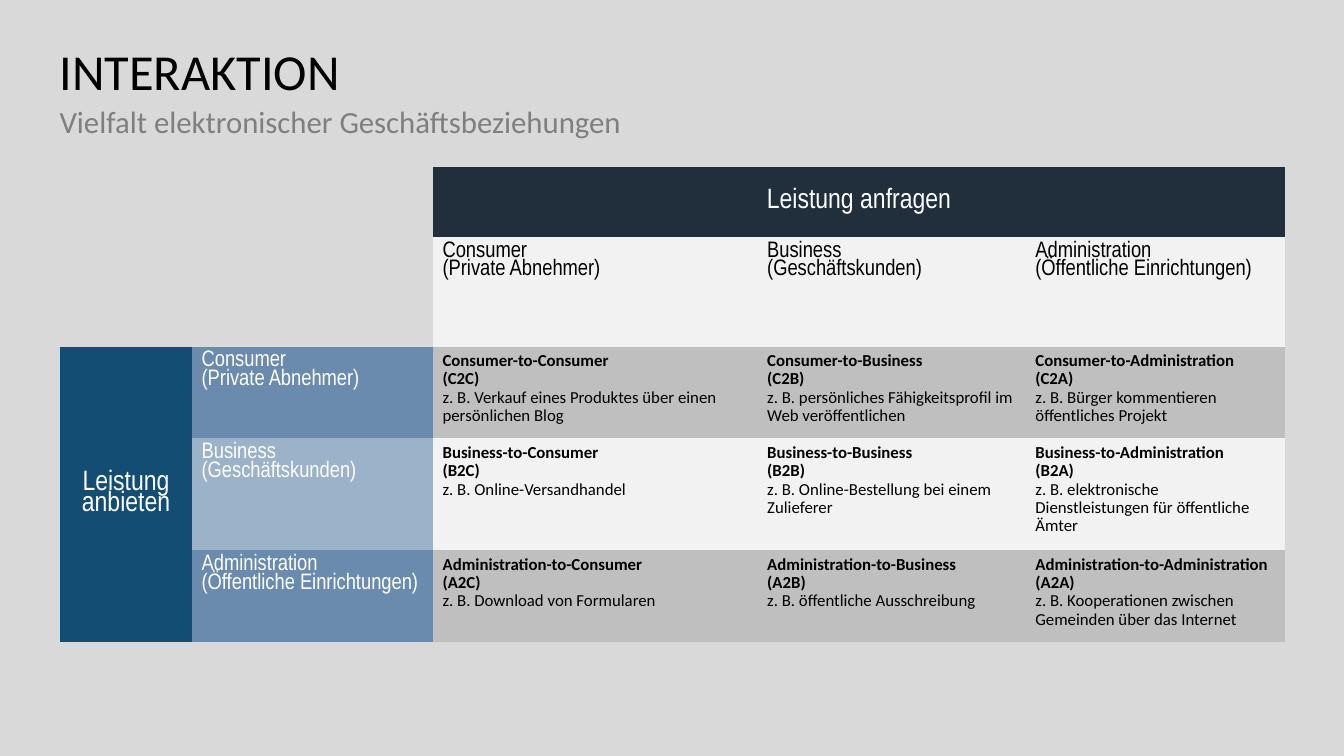
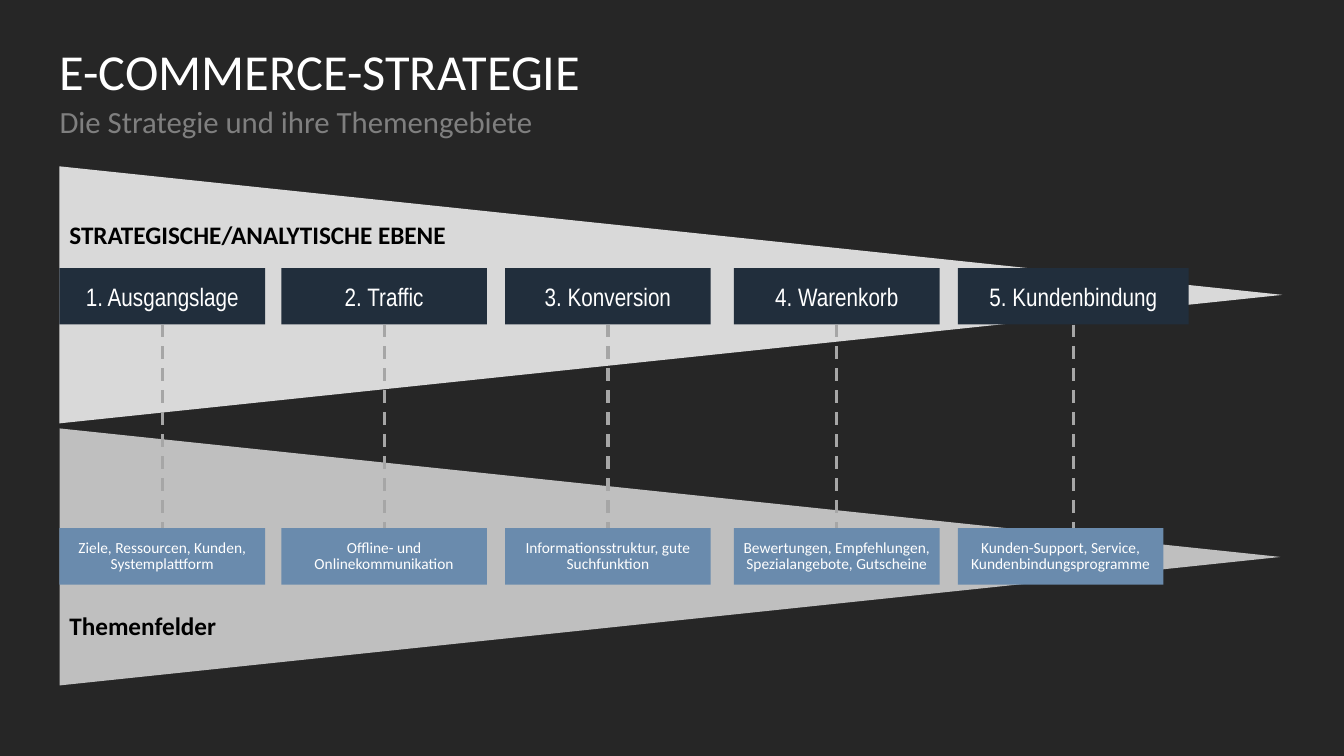
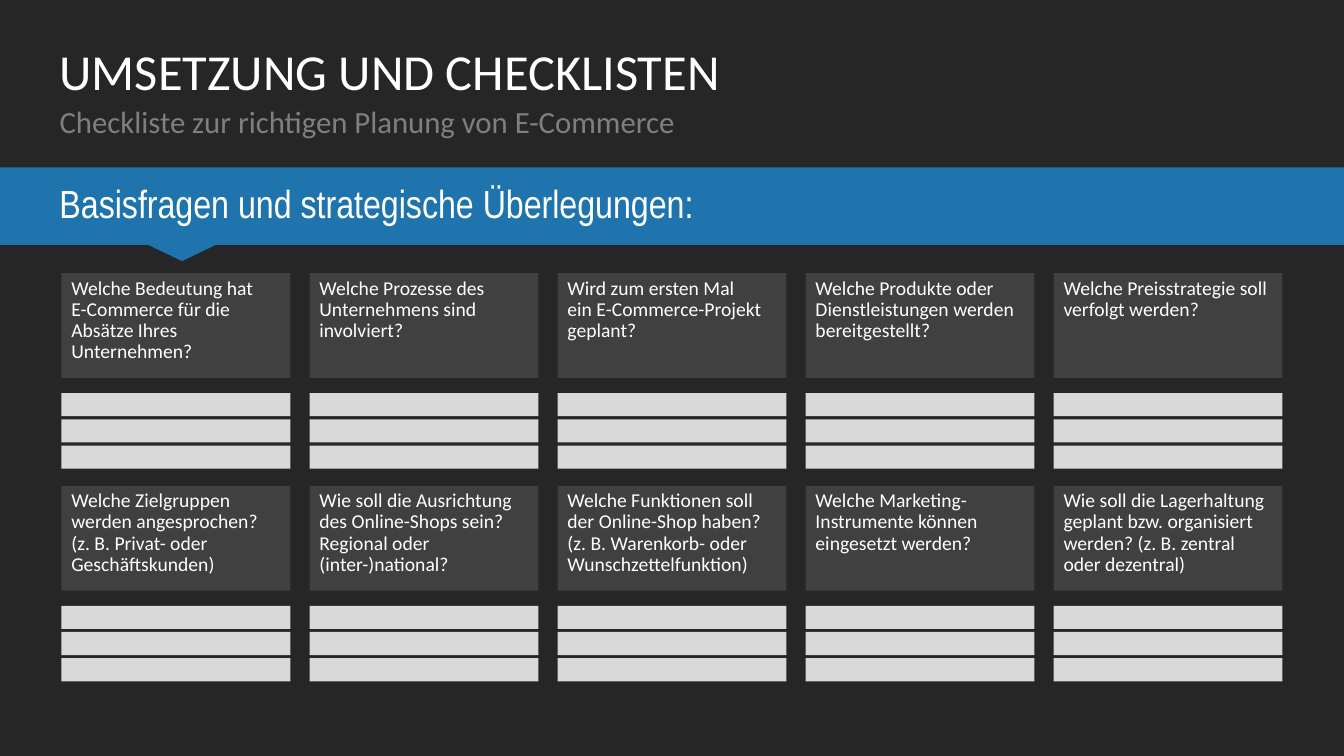
"""Builds three e-commerce slides: interaction matrix, strategy and checklist."""
from lxml import etree
from pptx import Presentation
from pptx.dml.color import RGBColor
from pptx.enum.dml import MSO_LINE
from pptx.enum.shapes import MSO_CONNECTOR, MSO_SHAPE
from pptx.enum.text import MSO_ANCHOR, PP_ALIGN
from pptx.oxml.ns import qn
from pptx.util import Inches, Pt

BLACK = RGBColor(0x00, 0x00, 0x00)
WHITE = RGBColor(0xFF, 0xFF, 0xFF)
CHARCOAL = RGBColor(0x26, 0x26, 0x26)
DARK_GREY = RGBColor(0x40, 0x40, 0x40)
MID_GREY = RGBColor(0x7F, 0x7F, 0x7F)
DASH_GREY = RGBColor(0xA6, 0xA6, 0xA6)
SILVER = RGBColor(0xBF, 0xBF, 0xBF)
LIGHT_GREY = RGBColor(0xD9, 0xD9, 0xD9)
PALE_GREY = RGBColor(0xF2, 0xF2, 0xF2)
NAVY = RGBColor(0x21, 0x2E, 0x3C)
PETROL = RGBColor(0x14, 0x4D, 0x73)
BLUE = RGBColor(0x1F, 0x74, 0xAD)
STEEL = RGBColor(0x6A, 0x8B, 0xAD)
PALE_STEEL = RGBColor(0x9B, 0xB2, 0xC8)

BODY = "Calibri"
NARROW = "Arial Narrow"
NO_STYLE = "{2D5ABB26-0587-4C30-8999-92F81FD0307C}"
LEFT, WIDTH = 0.59, 12.15
NO_INSETS = (0, 0, 0, 0)
INSETS = (0.1, 0.05, 0.1, 0.05)

COL_WIDTHS = [1.3, 2.39, 3.22, 2.66, 2.58]
ROW_HEIGHTS = [0.69, 1.09, 0.91, 1.11, 0.91]
PARTIES = [
    "Consumer\n(Private Abnehmer)",
    "Business\v(Geschäftskunden)",
    "Administration\n(Öffentliche Einrichtungen)",
]
ROW_FILLS = [(STEEL, SILVER), (PALE_STEEL, PALE_GREY), (STEEL, SILVER)]
RELATIONS = [
    ["Consumer-to-Consumer\v(C2C)\nz. B. Verkauf eines Produktes über einen persönlichen Blog",
     "Consumer-to-Business\v(C2B)\nz. B. persönliches Fähigkeitsprofil im Web veröffentlichen",
     "Consumer-to-Administration (C2A)\nz. B. Bürger kommentieren öffentliches Projekt"],
    ["Business-to-Consumer\v(B2C)\nz. B. Online-Versandhandel",
     "Business-to-Business\v(B2B)\nz. B. Online-Bestellung bei einem Zulieferer",
     "Business-to-Administration\v(B2A)\n"
     "z. B. elektronische Dienstleistungen für öffentliche Ämter"],
    ["Administration-to-Consumer\v(A2C)\nz. B. Download von Formularen",
     "Administration-to-Business\v(A2B)\nz. B. öffentliche Ausschreibung",
     "Administration-to-Administration (A2A)\n"
     "z. B. Kooperationen zwischen Gemeinden über das Internet"],
]

STAGES = [
    (0.59, 2.04, "1. Ausgangslage", "Ziele, Ressourcen, Kunden, Systemplattform"),
    (2.79, 2.04, "2. Traffic", "Offline- und Onlinekommunikation"),
    (5.01, 2.04, "3. Konversion", "Informationsstruktur, gute Suchfunktion"),
    (7.28, 2.04, "4. Warenkorb", "Bewertungen, Empfehlungen, Spezialangebote, Gutscheine"),
    (9.5, 2.29, "5. Kundenbindung", "Kunden-Support, Service, Kundenbindungsprogramme"),
]
STAGE_TOP, TOPIC_TOP, TOPIC_WIDTH, STAGE_HEIGHT = 2.66, 5.24, 2.04, 0.56
WEDGES = [(1.65, 12.13, LIGHT_GREY), (4.25, 12.11, SILVER)]
WEDGE_HEIGHT = 2.55
LEVELS = [(2.13, "STRATEGISCHE/ANALYTISCHE EBENE"), (6.01, "Themenfelder")]

QUESTIONS = [
    ["Welche Bedeutung hat\vE-Commerce für die Absätze Ihres Unternehmen?",
     "Welche Prozesse des Unternehmens sind involviert?",
     "Wird zum ersten Mal\vein E-Commerce-Projekt geplant?",
     "Welche Produkte oder Dienstleistungen werden bereitgestellt?",
     "Welche Preisstrategie soll verfolgt werden?"],
    ["Welche Zielgruppen werden angesprochen?\n(z. B. Privat- oder Geschäftskunden)",
     "Wie soll die Ausrichtung des Online-Shops sein? Regional oder\v(inter-)national?",
     "Welche Funktionen soll der Online-Shop haben?\n"
     "(z. B. Warenkorb- oder Wunschzettelfunktion)",
     "Welche Marketing-Instrumente können eingesetzt werden?",
     "Wie soll die Lagerhaltung geplant bzw. organisiert werden? "
     "(z. B. zentral oder dezentral)"],
]
CARD_LEFT, CARD_TOP, CARD_WIDTH, CARD_HEIGHT = 0.61, 2.71, 2.27, 1.04
CARD_STEP_X, CARD_STEP_Y = 2.46, 2.11
ANSWER_OFFSET, ANSWER_STEP, ANSWER_HEIGHT, ANSWER_COUNT = 1.19, 0.26, 0.23, 3


def write(tf, content, size, color, font=BODY, align=PP_ALIGN.LEFT, spacing=0.9, bold=False):
    """Fills a text frame and styles all its paragraphs."""
    tf.text = content
    for p in tf.paragraphs:
        p.alignment = align
        p.line_spacing = spacing
        p.font.size = Pt(size)
        p.font.name = font
        p.font.color.rgb = color
        p.font.bold = bold


def set_frame(tf, insets, anchor):
    """Sets wrapping, insets and anchor of a text frame."""
    tf.word_wrap = True
    tf.margin_left, tf.margin_top, tf.margin_right, tf.margin_bottom = map(Inches, insets)
    tf.vertical_anchor = anchor


def add_text(slide, box, content, size, color, insets=NO_INSETS, **style):
    """Adds a text box."""
    tf = slide.shapes.add_textbox(*map(Inches, box)).text_frame
    set_frame(tf, insets, MSO_ANCHOR.TOP)
    write(tf, content, size, color, **style)


def add_block(slide, box, fill, kind=MSO_SHAPE.RECTANGLE, rotation=0):
    """Adds a flat, borderless shape."""
    sp = slide.shapes.add_shape(kind, *map(Inches, box))
    sp.shadow.inherit = False
    sp.fill.solid()
    sp.fill.fore_color.rgb = fill
    sp.line.fill.background()
    sp.rotation = rotation
    return sp


def add_label_block(slide, box, fill, content, size, insets=NO_INSETS,
                    anchor=MSO_ANCHOR.MIDDLE, **style):
    """Adds a flat rectangle with white text."""
    tf = add_block(slide, box, fill).text_frame
    set_frame(tf, insets, anchor)
    write(tf, content, size, WHITE, **style)


def add_dash(slide, x, top, bottom):
    """Adds a vertical dashed line."""
    line = slide.shapes.add_connector(
        MSO_CONNECTOR.STRAIGHT, Inches(x), Inches(top), Inches(x), Inches(bottom))
    line.line.color.rgb = DASH_GREY
    line.line.width = Pt(2.25)
    line.line.dash_style = MSO_LINE.DASH
    etree.SubElement(line._element.spPr, qn("a:effectLst"))


def new_slide(prs, title, subtitle, background, title_color):
    """Adds a slide with background, title and subtitle."""
    slide = prs.slides.add_slide(prs.slide_layouts[6])
    slide.background.fill.solid()
    slide.background.fill.fore_color.rgb = background
    add_text(slide, (LEFT, 0.47, WIDTH, 0.59), title, 36, title_color)
    add_text(slide, (LEFT, 1.06, WIDTH, 0.59), subtitle, 22, MID_GREY)
    return slide


def fill_cell(cell, fill, content, size, color, anchor=MSO_ANCHOR.TOP, **style):
    """Fills a table cell with colour and text."""
    cell.fill.solid()
    cell.fill.fore_color.rgb = fill
    cell.vertical_anchor = anchor
    write(cell.text_frame, content, size, color, **style)


def build_interaction(prs):
    """Builds the matrix of business relations."""
    slide = new_slide(prs, "INTERAKTION", "Vielfalt elektronischer Geschäftsbeziehungen",
                      LIGHT_GREY, BLACK)
    table = slide.shapes.add_table(
        len(ROW_HEIGHTS), len(COL_WIDTHS), Inches(0.6), Inches(1.66),
        Inches(sum(COL_WIDTHS)), Inches(sum(ROW_HEIGHTS))).table
    table.first_row = table.horz_banding = False
    table._tbl.tblPr.find(qn("a:tableStyleId")).text = NO_STYLE
    for col, width in zip(table.columns, COL_WIDTHS):
        col.width = Inches(width)
    for row, height in zip(table.rows, ROW_HEIGHTS):
        row.height = Inches(height)
    for cell in table.iter_cells():
        cell.fill.background()

    table.cell(0, 2).merge(table.cell(0, 4))
    table.cell(2, 0).merge(table.cell(4, 0))
    heading = dict(size=20, color=WHITE, font=NARROW, align=PP_ALIGN.CENTER,
                   spacing=0.8, anchor=MSO_ANCHOR.MIDDLE)
    fill_cell(table.cell(0, 2), NAVY, "Leistung anfragen", **heading)
    fill_cell(table.cell(2, 0), PETROL, "Leistung anbieten", **heading)
    for i, (party, (party_fill, row_fill)) in enumerate(zip(PARTIES, ROW_FILLS)):
        fill_cell(table.cell(1, i + 2), PALE_GREY, party, 16, BLACK, font=NARROW)
        fill_cell(table.cell(i + 2, 1), party_fill, party, 16, WHITE, font=NARROW)
        for j, relation in enumerate(RELATIONS[i]):
            cell = table.cell(i + 2, j + 2)
            fill_cell(cell, row_fill, relation, 12, BLACK)
            cell.text_frame.paragraphs[0].font.bold = True


def build_strategy(prs):
    """Builds the two wedges with stages and topics."""
    slide = new_slide(prs, "E-COMMERCE-STRATEGIE", "Die Strategie und ihre Themengebiete",
                      CHARCOAL, WHITE)
    for top, length, fill in WEDGES:
        shift = (length - WEDGE_HEIGHT) / 2
        add_block(slide, (LEFT + shift, top - shift, WEDGE_HEIGHT, length), fill,
                  MSO_SHAPE.FLOWCHART_MERGE, 270)
    for left, width, stage, topic in STAGES:
        add_label_block(slide, (left, STAGE_TOP, width, STAGE_HEIGHT), NAVY, stage, 18,
                        font=NARROW, align=PP_ALIGN.CENTER, spacing=1.0)
        add_label_block(slide, (left, TOPIC_TOP, TOPIC_WIDTH, STAGE_HEIGHT), STEEL, topic, 11,
                        align=PP_ALIGN.CENTER)
        add_dash(slide, left + width / 2, STAGE_TOP + STAGE_HEIGHT, TOPIC_TOP)
    for top, level in LEVELS:
        add_text(slide, (LEFT, top, 4.24, 0.4), level, 18, BLACK, INSETS,
                 spacing=1.0, bold=True)


def build_checklist(prs):
    """Builds the question cards with answer lines."""
    slide = new_slide(prs, "UMSETZUNG UND CHECKLISTEN",
                      "Checkliste zur richtigen Planung von E-Commerce", CHARCOAL, WHITE)
    add_label_block(slide, (0, 1.66, 13.33, 0.77), BLUE,
                    "Basisfragen und strategische Überlegungen:", 28,
                    (LEFT, 0.05, LEFT, 0.05), font=NARROW)
    add_block(slide, (1.45, 2.42, 0.71, 0.17), BLUE, MSO_SHAPE.ISOSCELES_TRIANGLE, 180)
    for i, questions in enumerate(QUESTIONS):
        top = CARD_TOP + i * CARD_STEP_Y
        for j, question in enumerate(questions):
            left = CARD_LEFT + j * CARD_STEP_X
            add_label_block(slide, (left, top, CARD_WIDTH, CARD_HEIGHT), DARK_GREY,
                            question, 14, INSETS, MSO_ANCHOR.TOP)
            for k in range(ANSWER_COUNT):
                add_block(slide, (left, top + ANSWER_OFFSET + k * ANSWER_STEP,
                                  CARD_WIDTH, ANSWER_HEIGHT), LIGHT_GREY)


def main():
    """Builds and saves the presentation."""
    prs = Presentation()
    prs.slide_width, prs.slide_height = Inches(13.33), Inches(7.5)
    build_interaction(prs)
    build_strategy(prs)
    build_checklist(prs)
    prs.save("out.pptx")


if __name__ == "__main__":
    main()
